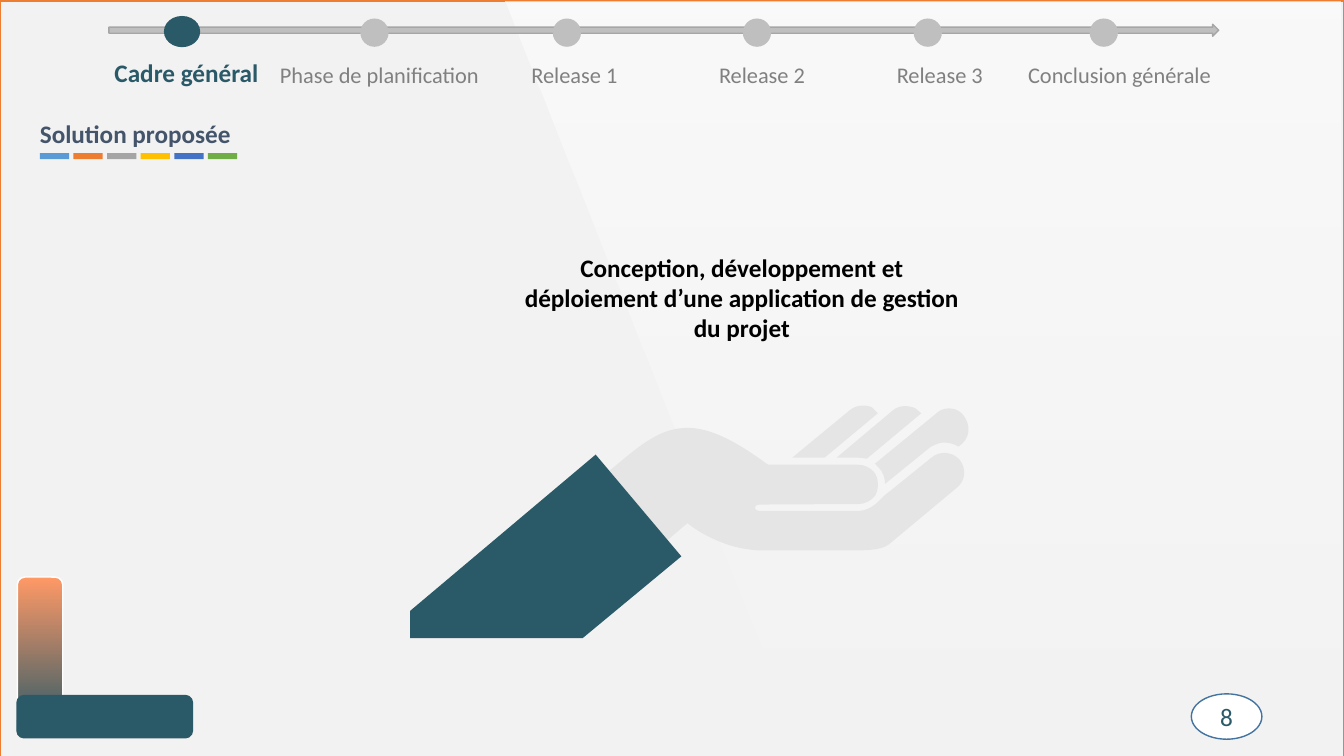
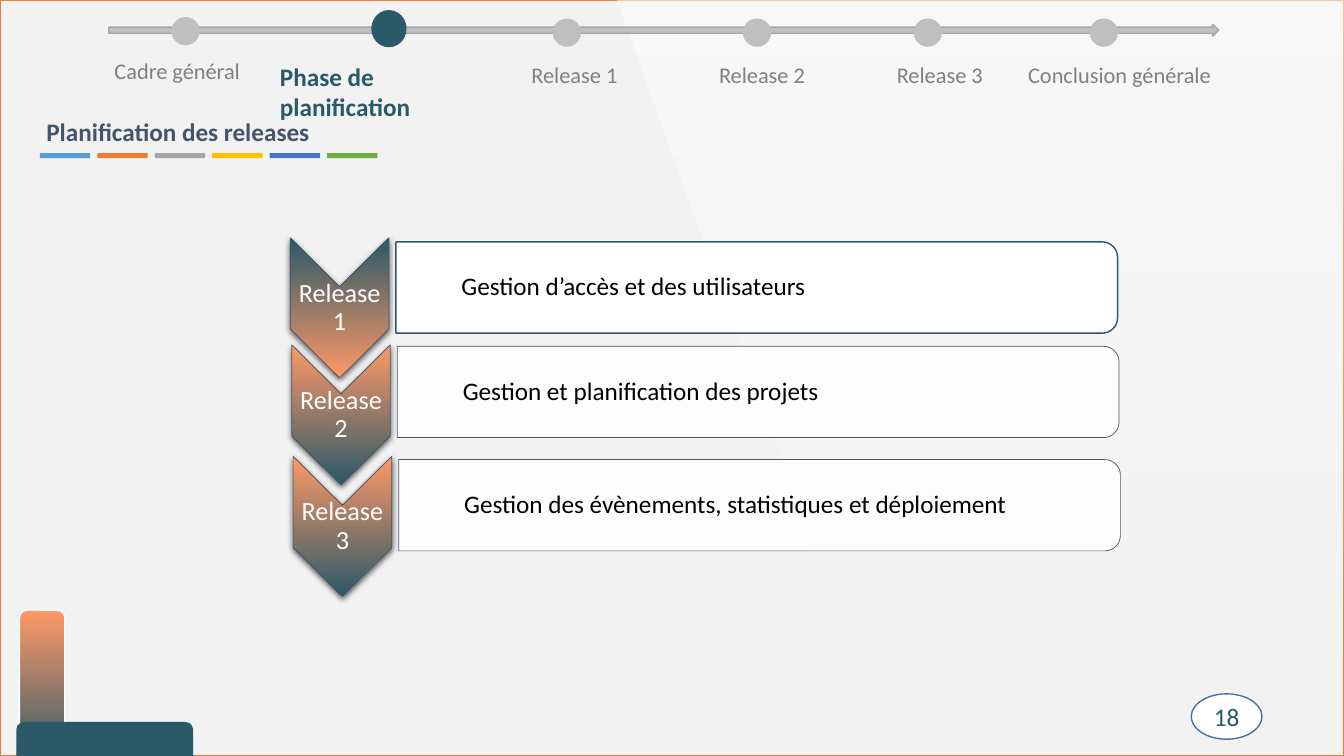
from dataclasses import dataclass

from lxml.etree import SubElement
from pptx import Presentation
from pptx.dml.color import RGBColor
from pptx.enum.shapes import MSO_SHAPE as Shape
from pptx.enum.text import MSO_ANCHOR as Anchor, MSO_AUTO_SIZE as AutoSize, PP_ALIGN as Align
from pptx.oxml.ns import qn
from pptx.util import Pt


@dataclass(frozen=True)
class Theme:
    font: str = "Calibri"
    page: str = "F2F2F2"
    border: str = "ED7D31"
    teal: str = "2A5968"
    orange: str = "FF9966"
    white: str = "FFFFFF"
    black: str = "000000"
    slate: str = "44546A"
    track: str = "BFBFBF"
    track_edge: str = "A6A6A6"
    muted: str = "808080"
    hand: str = "E5E5E5"
    badge_edge: str = "43739E"
    dashes: tuple = ("5B9BD5", "ED7D31", "A5A5A5", "FFC000", "4472C4", "70AD47")
    label_size: float = 16
    text_size: float = 18
    chevron_size: float = 18.7


THEME = Theme()
WIDTH, HEIGHT = 960, 540


@dataclass(frozen=True)
class Stage:
    label: str
    dot: tuple
    place: tuple
    align: Align = Align.LEFT


STAGES = (
    Stage("Cadre général", (122.4, 12.2), (81.8, 40.2, 116)),
    Stage("Phase de planification", (257.4, 13.2), (200, 43.1, 158)),
    Stage("Release 1", (394.8, 13.2), (341.2, 43.1, 138.2), Align.CENTER),
    Stage("Release 2", (530.6, 13.2), (475.2, 43.1, 138.2), Align.CENTER),
    Stage("Release 3", (652.6, 13.2), (602.2, 43.1, 138.2), Align.CENTER),
    Stage("Conclusion générale", (778.3, 13.2), (734.4, 43.1, 160)),
)

# Contours: a pair is a corner, six numbers are a Bézier curve.
HAND = (
    [(686.9, 295.2), (694.8, 303.8, 692.6, 313.9, 684.7, 319),
     (681.1, 316.8, 677.5, 316.1, 673.2, 316.1), (669.6, 316.8, 665.3, 318.2, 662.4, 321.1),
     (632.2, 345.6), (632.2, 341.3, 630.7, 337, 627.8, 334.1), (625, 331.2),
     (668.9, 295.2), (673.2, 290.9, 681.8, 290.2, 686.9, 295.2)],
    [(658.1, 295.2), (619.2, 327.6), (613.4, 326.9), (597.6, 326.9), (637.9, 293),
     (642.2, 289.4, 648.7, 289.4, 653.8, 291.6)],
    [(627.1, 295.2), (589, 326.9), (565.9, 326.9), (607, 293),
     (611.3, 289.4, 617.8, 288.7, 622.8, 290.9)],
    [(685.4, 328.3), (690.5, 334.8, 689.8, 343.4, 683.3, 348.5), (635, 388.8),
     (632.2, 391, 626.4, 393.1, 613.4, 393.1), (540.7, 393.1),
     (534.2, 392.4, 527.8, 391.7, 519.1, 388.8), (511.2, 385.9, 501.1, 381.6, 491, 373.7),
     (434.2, 421.9), (379.4, 382.3), (449.3, 324.7),
     (456.5, 319, 462.2, 314.6, 470.9, 310.3), (492.5, 300.2, 513.4, 306, 548.6, 331.9),
     (612.7, 331.9), (617.8, 331.9, 621.4, 334.1, 624.2, 337),
     (626.4, 339.8, 627.1, 342.7, 627.1, 346.3), (627.1, 349.2, 626.4, 352.1, 625, 354.2),
     (622.1, 357.8, 617.8, 360, 613.4, 360), (542.2, 360.4),
     (538.3, 360.4, 538.3, 365, 542.2, 365), (613.4, 365),
     (618.5, 365, 623.5, 361.4, 623.5, 361.4), (627.1, 359.3, 631.4, 353.5, 635, 351.4),
     (665.3, 326.9), (671, 321.8, 680.4, 322.6, 685.4, 328.3)],
)
SLEEVE = [(425.5, 324.7), (293, 436.3), (293, 455.8), (416.2, 455.8), (486.7, 397.4)]


def rgb(color):
    return RGBColor.from_string(color)


def paint(shape, fill, line=None, line_width=1):
    """Fill with a colour, a (top, bottom) gradient or nothing; outline on demand."""
    shape.shadow.inherit = False
    if fill is None:
        shape.fill.background()
    elif isinstance(fill, tuple):
        shape.fill.gradient()
        shape.fill.gradient_angle = 270
        for stop, color in zip(shape.fill.gradient_stops, fill):
            stop.color.rgb = rgb(color)
    else:
        shape.fill.solid()
        shape.fill.fore_color.rgb = rgb(fill)
    if line:
        shape.line.color.rgb = rgb(line)
        shape.line.width = Pt(line_width)
    else:
        shape.line.fill.background()
    return shape


def set_opacity(shape, *percents):
    for color, percent in zip(shape._element.spPr.iter(qn("a:srgbClr")), percents):
        SubElement(color, qn("a:alpha"), val=str(percent * 1000))


def drop_shadow(shape):
    effects = shape._element.spPr.find(qn("a:effectLst"))
    shadow = SubElement(effects, qn("a:outerShdw"), blurRad=str(Pt(4.5)), dist=str(Pt(1.5)),
                        dir="5400000", algn="ctr", rotWithShape="0")
    color = SubElement(shadow, qn("a:srgbClr"), val=THEME.black)
    SubElement(color, qn("a:alpha"), val="63000")


def write(shape, text, size, color, bold=False, align=Align.LEFT, anchor=Anchor.TOP,
          insets=(7.2, 3.6, 7.2, 3.6), spacing=None):
    frame = shape.text_frame
    frame.word_wrap = True
    frame.auto_size = AutoSize.NONE
    frame.vertical_anchor = anchor
    (frame.margin_left, frame.margin_top,
     frame.margin_right, frame.margin_bottom) = map(Pt, insets)
    frame.text = text
    paragraph = frame.paragraphs[0]
    paragraph.alignment = align
    if spacing:
        paragraph.line_spacing = spacing
    font = paragraph.font
    font.name, font.size, font.bold = THEME.font, Pt(size), bold
    font.color.rgb = rgb(color)


def add_preset(slide, kind, box, fill, line=None, line_width=1):
    return paint(slide.shapes.add_shape(kind, *map(Pt, box)), fill, line, line_width)


def add_text(slide, box, text, size, color, **style):
    write(slide.shapes.add_textbox(*map(Pt, box)), text, size, color, **style)


def node_points(contour):
    """List every corner and curve point of a contour in EMU."""
    return [(Pt(node[i]), Pt(node[i + 1])) for node in contour for i in range(0, len(node), 2)]


def bend_curves(shape, contours):
    """Join each three segments that stand for a curve into one Bézier segment."""
    segments = iter(list(shape._element.iter(qn("a:lnTo"))))
    for contour in contours:
        for node in contour[1:]:
            group = [next(segments) for _ in range(len(node) // 2)]
            if len(group) == 1:
                continue
            outline = group[0].getparent()
            curve = SubElement(outline, qn("a:cubicBezTo"))
            group[0].addprevious(curve)
            for segment in group:
                curve.append(segment[0])
                outline.remove(segment)


def add_outline(slide, contours, fill, line=None, line_width=1):
    first, *others = map(node_points, contours)
    builder = slide.shapes.build_freeform(*first[0])
    builder.add_line_segments(first[1:])
    for points in others:
        builder.move_to(*points[0])
        builder.add_line_segments(points[1:])
    shape = builder.convert_to_shape()
    bend_curves(shape, contours)
    return paint(shape, fill, line, line_width)


def add_backdrop(slide, border_top, sheen_left, sheen_top, sheen_right):
    background = slide.background.fill
    background.solid()
    background.fore_color.rgb = rgb(THEME.page)
    add_preset(slide, Shape.RECTANGLE, (0, border_top, WIDTH, HEIGHT), None, THEME.border)
    sheen_bottom = sheen_top + HEIGHT
    slant = 0.36 * (sheen_right - sheen_left)
    sheen = add_outline(slide, [[(sheen_left, sheen_top), (sheen_right, sheen_top),
                                 (sheen_right, sheen_bottom),
                                 (sheen_left + slant, sheen_bottom)]],
                        (THEME.white, THEME.white))
    set_opacity(sheen, 60, 0)


def add_corner(slide, bar_left, bar_top, base_top):
    add_preset(slide, Shape.ROUNDED_RECTANGLE, (bar_left, bar_top, 32.4, 110.9),
               (THEME.orange, THEME.teal), THEME.white)
    add_preset(slide, Shape.ROUNDED_RECTANGLE, (12.2, base_top, 125.3, 30.2),
               THEME.teal, THEME.teal)


def add_timeline(slide, current, current_dot):
    add_preset(slide, Shape.RIGHT_ARROW, (77.8, 17.3, 792.7, 8.6), THEME.track, THEME.track_edge)
    for index, stage in enumerate(STAGES):
        active = index == current
        dot = current_dot if active else (*stage.dot, 20.2, 20.2)
        add_preset(slide, Shape.OVAL, dot, THEME.teal if active else THEME.track)
        add_text(slide, (*stage.place, 40), stage.label,
                 THEME.text_size if active else THEME.label_size,
                 THEME.teal if active else THEME.muted,
                 bold=active, align=stage.align, insets=(0, 0.7, 0, 0))


def add_title(slide, text, left, top, dash_width, dash_height, dash_pitch):
    title = slide.shapes.title
    title.left, title.top, title.width, title.height = map(Pt, (left, top, 255.6, 28.8))
    write(title, text, THEME.text_size, THEME.slate, bold=True)
    for index, color in enumerate(THEME.dashes):
        add_preset(slide, Shape.RECTANGLE,
                   (28.5 + index * dash_pitch, 109.4, dash_width, dash_height), color)


def add_page_number(slide, number):
    badge = add_preset(slide, Shape.FLOWCHART_CONNECTOR, (851, 495.6, 50.4, 32.4),
                       THEME.white, THEME.badge_edge)
    write(badge, str(number), THEME.text_size, THEME.teal, align=Align.CENTER,
          anchor=Anchor.MIDDLE, insets=(0, 0, 0, 0))


def add_chevron(slide, left, top, text, fill):
    right, middle, notch = left + 70.4, left + 35.2, 35
    shoulder, tip = top + 65, top + 100
    chevron = add_outline(slide, [[(right, top), (right, shoulder), (middle, tip),
                                   (left, shoulder), (left, top), (middle, top + notch)]],
                          fill, THEME.slate, 0.5)
    drop_shadow(chevron)
    write(chevron, text, THEME.chevron_size, THEME.white, align=Align.CENTER,
          anchor=Anchor.MIDDLE, insets=(0.7, 36, 0.7, 36), spacing=0.9)


def add_card(slide, left, top, text, line, line_width, opacity):
    """Panel with its two right corners rounded."""
    right, bottom, radius, pull = left + 515.5, top + 65.2, 11, 5
    card = add_outline(slide, [[
        (left, top), (right - radius, top),
        (right - pull, top, right, top + pull, right, top + radius),
        (right, bottom - radius),
        (right, bottom - pull, right - pull, bottom, right - radius, bottom),
        (left, bottom)]], THEME.white, line, line_width)
    set_opacity(card, opacity)
    write(card, text, THEME.text_size, THEME.black, anchor=Anchor.MIDDLE,
          insets=(46.8, 4.3, 4.3, 4.3), spacing=0.9)


def new_slide(presentation):
    return presentation.slides.add_slide(presentation.slide_layouts[5])


def build_solution(presentation):
    slide = new_slide(presentation)
    add_backdrop(slide, 0.7, 361.4, 1.4, 957.6)
    add_corner(slide, 12.4, 412.2, 496.8)
    add_timeline(slide, 0, (117.1, 11.4, 25.9, 22.3))
    add_title(slide, "Solution proposée", 21.3, 80.6, 20.9, 4.3, 24)
    add_outline(slide, HAND, THEME.hand)
    add_outline(slide, [SLEEVE], THEME.teal)
    add_text(slide, (363.6, 176.4, 332.6, 72.7),
             "Conception, développement et déploiement d’une application de gestion du projet",
             THEME.text_size, THEME.black, bold=True, align=Align.CENTER)
    add_page_number(slide, 8)


def build_releases(presentation):
    slide = new_slide(presentation)
    add_backdrop(slide, 0, 423.4, -49, WIDTH)
    add_corner(slide, 13.9, 435.8, 516.2)
    add_timeline(slide, 1, (265.2, 7.2, 25.2, 26.6))
    add_title(slide, "Planification des releases", 25.9, 79.4, 36, 3.6, 41.04)
    releases = (
        (169.9, 172.8, "Gestion d’accès et des utilisateurs"),
        (246.4, 247.4, "Gestion et planification des projets"),
        (326, 328.3, "Gestion des évènements, statistiques et déploiement"),
    )
    for index, (chevron_top, card_top, text) in enumerate(releases):
        left = 207.4 + index
        first = index == 0
        fill = (THEME.teal, THEME.orange) if first else (THEME.orange, THEME.teal)
        card_style = (THEME.teal, 1, 100) if first else (THEME.slate, 0.5, 90)
        add_chevron(slide, left, chevron_top, f"Release {index + 1}", fill)
        add_card(slide, left + 75.4, card_top, text, *card_style)
    add_page_number(slide, 18)


def main():
    presentation = Presentation()
    presentation.slide_width, presentation.slide_height = Pt(WIDTH), Pt(HEIGHT)
    build_solution(presentation)
    build_releases(presentation)
    presentation.save("out.pptx")


if __name__ == "__main__":
    main()
